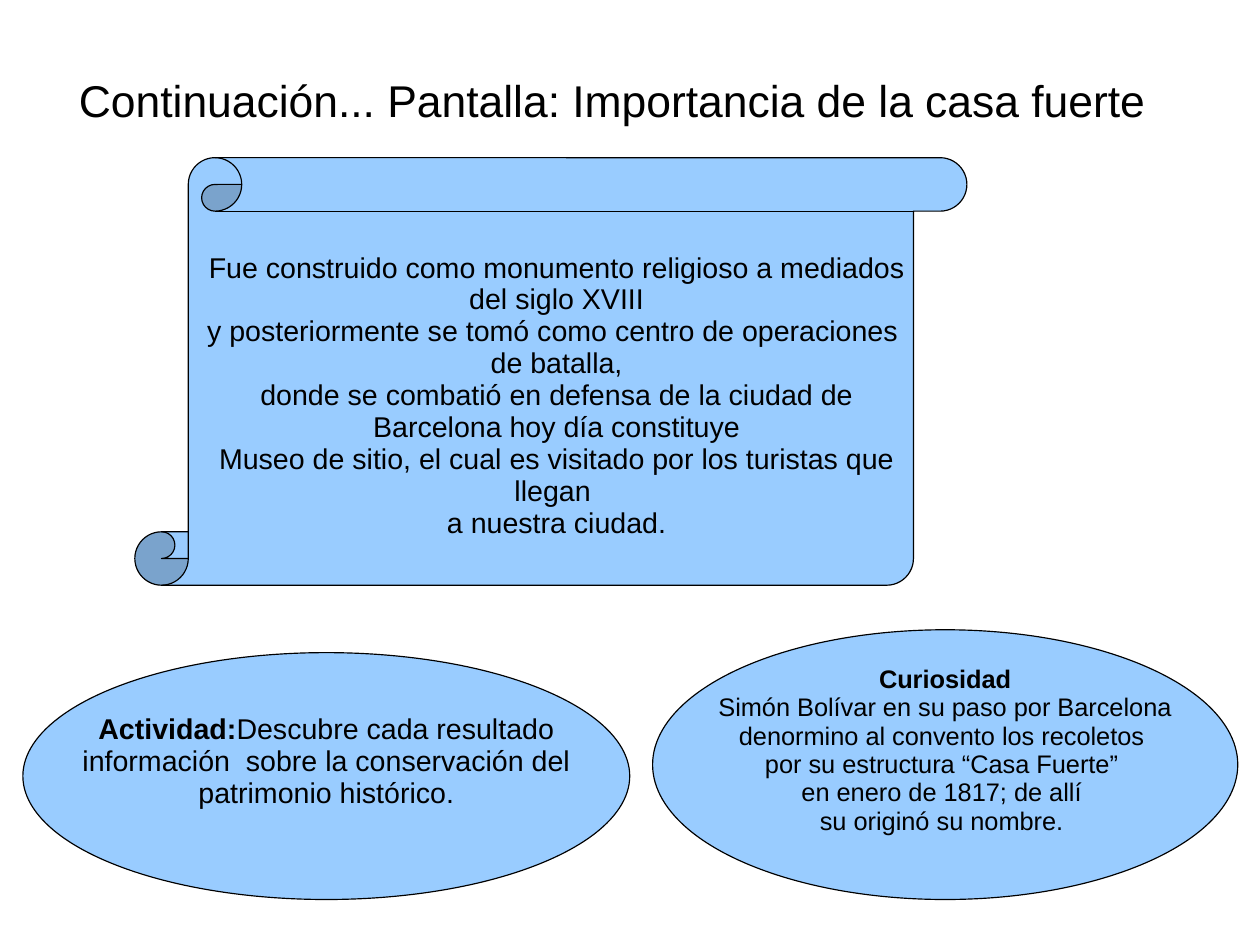
from dataclasses import dataclass

import pptx
import pptx.dml.color
import pptx.enum.shapes
import pptx.enum.text
import pptx.util

Inches = pptx.util.Inches
Pt = pptx.util.Pt
MSO_SHAPE = pptx.enum.shapes.MSO_SHAPE
ANCHOR = pptx.enum.text.MSO_ANCHOR
ALIGN = pptx.enum.text.PP_ALIGN

POINTS_PER_INCH = 72
PAGE_WIDTH = 793.75 / POINTS_PER_INCH
PAGE_HEIGHT = 595.25 / POINTS_PER_INCH
BLACK = "000000"
SKY = "99CCFF"


@dataclass
class Box:
    left: float
    top: float
    width: float
    height: float

    def lengths(self) -> list[int]:
        return [Inches(v) for v in (self.left, self.top, self.width, self.height)]


@dataclass
class Run:
    text: str
    bold: bool = False


@dataclass
class Bubble:
    box: Box
    size: int
    top_inset: float
    bottom_inset: float
    paragraphs: list[list[Run]]


BUBBLES = [
    Bubble(Box(0.2, 5.71, 5.31, 2.16), 18, 0.07, 0.32, [
        [Run("Actividad:", True), Run("Descubre cada resultado")],
        [Run(" información  sobre la conservación del ")],
        [Run("patrimonio histórico.")],
    ]),
    Bubble(Box(5.71, 5.51, 5.12, 2.36), 16, 0.05, 0.29, [
        [Run("Curiosidad", True)],
        [Run("Simón Bolívar en su paso por Barcelona")],
        [Run("denormino al convento los recoletos ")],
        [Run("por su estructura “Casa Fuerte” ")],
        [Run("en enero de 1817; de allí ")],
        [Run("su originó su nombre. ")],
    ]),
]

HISTORY = [
    "Fue construido como monumento religioso a mediados del siglo XVIII",
    "y posteriormente se tomó como centro de operaciones  de batalla,",
    "donde se combatió en defensa de la ciudad de Barcelona hoy día constituye",
    "Museo de sitio, el cual es visitado por los turistas que llegan ",
    "a nuestra ciudad.",
]


def rgb(value: str) -> pptx.dml.color.RGBColor:
    return pptx.dml.color.RGBColor.from_string(value)


def write(tf, paragraphs: list[list[Run]], size: int, align=ALIGN.CENTER,
          anchor=ANCHOR.TOP, wrap: bool = True, top: float = 0.05,
          bottom: float = 0.05) -> None:
    tf.auto_size = pptx.enum.text.MSO_AUTO_SIZE.NONE
    tf.word_wrap = wrap
    tf.vertical_anchor = anchor
    tf.margin_left = tf.margin_right = Inches(0.1)
    tf.margin_top, tf.margin_bottom = Inches(top), Inches(bottom)
    for i, runs in enumerate(paragraphs):
        p = tf.add_paragraph() if i else tf.paragraphs[0]
        p.alignment = align
        p.line_spacing = 0.93
        p.font.name = "Arial"
        p.font.size = Pt(size)
        p.font.color.rgb = rgb(BLACK)
        for run in runs:
            r = p.add_run()
            r.text = run.text
            if run.bold:
                r.font.bold = True


def add_panel(slide, kind, box: Box):
    sp = slide.shapes.add_shape(kind, *box.lengths())
    sp.shadow.inherit = False
    sp.fill.solid()
    sp.fill.fore_color.rgb = rgb(SKY)
    sp.line.color.rgb = rgb(BLACK)
    sp.line.width = Pt(0.75)
    return sp


def add_bubble(slide, bubble: Bubble) -> None:
    sp = add_panel(slide, MSO_SHAPE.OVAL, bubble.box)
    write(sp.text_frame, bubble.paragraphs, bubble.size, anchor=ANCHOR.MIDDLE,
          wrap=False, top=bubble.top_inset, bottom=bubble.bottom_inset)


def main() -> None:
    prs = pptx.Presentation()
    prs.slide_width, prs.slide_height = Inches(PAGE_WIDTH), Inches(PAGE_HEIGHT)
    slide = prs.slides.add_slide(prs.slide_layouts[5])

    title = slide.shapes.title
    title.left, title.top, title.width, title.height = Box(0.59, 0.59, 10.24, 0.72).lengths()
    write(title.text_frame, [[Run("Continuación... Pantalla: Importancia de la casa fuerte")]],
          28, align=ALIGN.LEFT, top=0.09)

    for bubble in BUBBLES:
        add_bubble(slide, bubble)

    scroll = add_panel(slide, MSO_SHAPE.VERTICAL_SCROLL, Box(1.18, 1.38, 7.28, 3.74))
    scroll.adjustments[0] = 0.125
    history = slide.shapes.add_textbox(*Box(1.67, 2.16, 6.4, 2.61).lengths())
    write(history.text_frame, [[Run(text)] for text in HISTORY], 18)

    prs.save("out.pptx")


if __name__ == "__main__":
    main()
